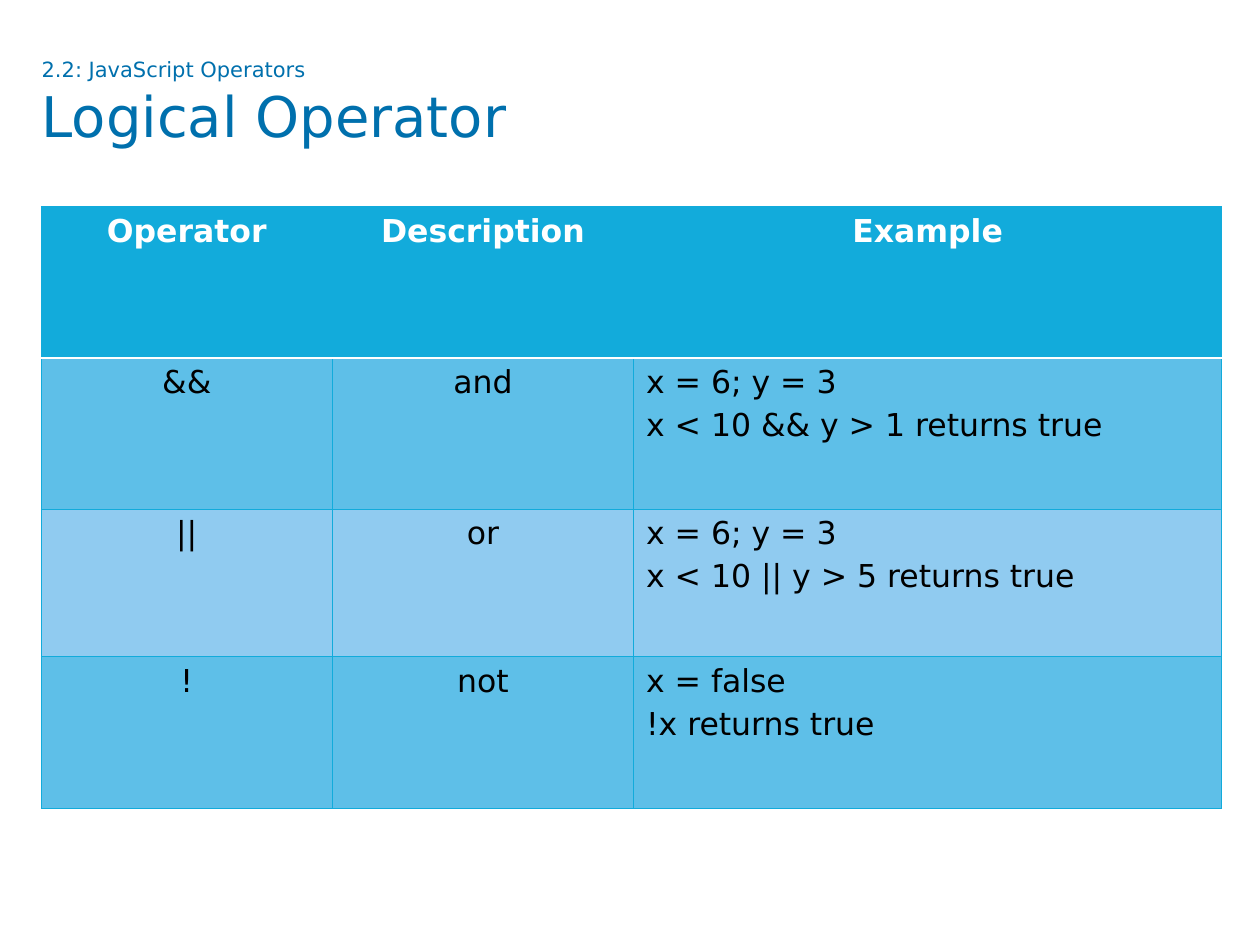
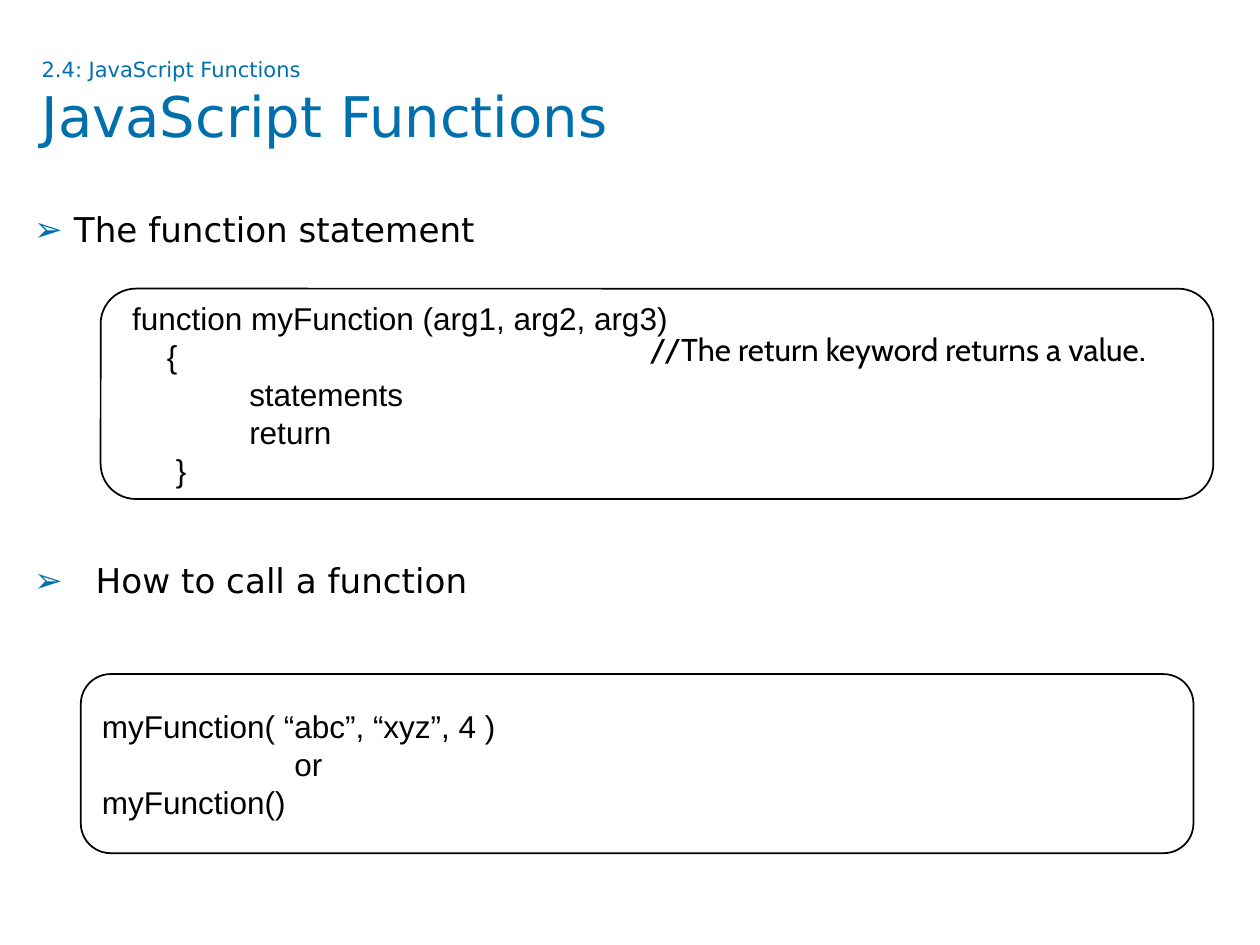
"""Build two slides on JavaScript operators and functions."""
from dataclasses import dataclass

from lxml import etree
from pptx import Presentation
from pptx import util as u
from pptx.dml import color as c
from pptx.enum import shapes as s, text as t
from pptx.oxml import ns
from pptx.slide import Slide
from pptx.table import _Cell
from pptx.text.text import TextFrame, _Paragraph


@dataclass(frozen=True)
class Theme:
    """Colours, fonts and type sizes shared by the slides."""
    blue: str = "0070AD"
    cyan: str = "12ABDB"
    dark_row: str = "5EBFE8"
    light_row: str = "90CBF0"
    black: str = "000000"
    white: str = "FFFFFF"
    main_font: str = "DejaVu Sans"
    code_font: str = "Arial"
    note_font: str = "Cabin"
    section_size: float = 12
    title_size: float = 32
    text_size: float = 18
    bullet_size: float = 19.5
    stop_size: float = 20


@dataclass(frozen=True)
class Box:
    """Position and size in centimetres."""
    left: float
    top: float
    width: float
    height: float

    def lengths(self) -> tuple[u.Length, ...]:
        """Return the four values as lengths."""
        return tuple(u.Cm(n) for n in (self.left, self.top, self.width, self.height))


@dataclass(frozen=True)
class Line:
    """One line of code or list text, indented in centimetres."""
    text: str
    indent: float = 0
    space_before: float = 0


@dataclass(frozen=True)
class CodeBox:
    """A rounded box holding lines of code."""
    box: Box
    lines: tuple[Line, ...]


THEME = Theme()
TITLE_BOX = Box(0.84, 1.14, 23.7, 2.39)
BODY_BOX = Box(0.69, 4.29, 23.72, 12.9)
TABLE_BOX = Box(0.83, 4.17, 23.8, 12.12)
NOTE_BOX = Box(12.83, 6.45, 10.54, 1.09)
COLUMN_WIDTHS = (5.87, 6.07, 11.86)
ROW_HEIGHTS = (3.05, 3.05, 2.97, 3.05)
OPERATOR_ROWS = (
    ("Operator", "Description", "Example"),
    ("&&", "and", "x = 6; y = 3\nx < 10 && y > 1 returns true"),
    ("||", "or", "x = 6; y = 3\nx < 10 || y > 5 returns true"),
    ("!", "not", "x = false\n!x returns true"),
)
BULLETS = (
    Line("The function statement", 0.8),
    Line("How to call a function", 1.24, 179.6),
)
CODE_BOXES = (
    CodeBox(Box(2.03, 5.82, 22.43, 4.24), (
        Line("function myFunction (arg1, arg2, arg3)", 0.18),
        Line("{", 0.88),
        Line("statements", 2.54),
        Line("return", 2.54),
        Line("}", 1.06),
    )),
    CodeBox(Box(1.63, 13.59, 22.43, 3.61), (
        Line("myFunction( “abc”, “xyz”, 4 )"),
        Line("or", 3.88),
        Line("myFunction()"),
    )),
)


def rgb(value: str) -> c.RGBColor:
    """Turn a hexadecimal string into a colour."""
    return c.RGBColor.from_string(value)


def write(paragraph: _Paragraph, text: str, *, size: float = THEME.text_size,
          font: str = THEME.main_font, color: str = THEME.black,
          bold: bool = False) -> None:
    """Add formatted text to a paragraph."""
    run = paragraph.add_run()
    run.text = text
    run.font.size = u.Pt(size)
    run.font.name = font
    run.font.bold = bold
    run.font.color.rgb = rgb(color)


def start_paragraph(frame: TextFrame, index: int, *, align: t.PP_ALIGN = t.PP_ALIGN.LEFT,
                    indent: float = 0, hanging: float = 0, space_before: float = 0,
                    line_spacing: float = 1.0) -> _Paragraph:
    """Return the first paragraph of a frame or add one, and format it."""
    paragraph = frame.add_paragraph() if index else frame.paragraphs[0]
    paragraph.alignment = align
    paragraph.space_before = u.Pt(space_before)
    paragraph.line_spacing = line_spacing
    properties = paragraph._p.get_or_add_pPr()
    properties.set("marL", str(u.Cm(indent)))
    properties.set("indent", str(-u.Cm(hanging)))
    return paragraph


def add_bullet(paragraph: _Paragraph, symbol: str, color: str) -> None:
    """Give a paragraph a coloured bullet."""
    properties = paragraph._p.get_or_add_pPr()
    bullet_color = etree.SubElement(properties, ns.qn("a:buClr"))
    etree.SubElement(bullet_color, ns.qn("a:srgbClr"), val=color)
    etree.SubElement(properties, ns.qn("a:buChar"), char=symbol)


def place(shape, box: Box) -> TextFrame:
    """Move a placeholder and return its frame without margins."""
    shape.left, shape.top, shape.width, shape.height = box.lengths()
    frame = shape.text_frame
    frame.margin_left = frame.margin_right = frame.margin_top = frame.margin_bottom = 0
    frame.auto_size = t.MSO_AUTO_SIZE.NONE
    frame.vertical_anchor = t.MSO_ANCHOR.TOP
    frame.word_wrap = True
    return frame


def add_titled_slide(presentation, layout: int, section: str, title: str) -> Slide:
    """Add a slide with a section line above its title."""
    slide = presentation.slides.add_slide(presentation.slide_layouts[layout])
    paragraph = start_paragraph(place(slide.shapes.title, TITLE_BOX), 0)
    write(paragraph, section, size=THEME.section_size, color=THEME.blue)
    paragraph.add_line_break()
    write(paragraph, title, size=THEME.title_size, color=THEME.blue)
    return slide


def set_borders(cell: _Cell, **sides: tuple[str, float]) -> None:
    """Draw cell borders given as colour and width, by side letter."""
    properties = cell._tc.get_or_add_tcPr()
    for position, side in enumerate("LRTB"):
        color, width = sides.get(side, (THEME.cyan, 0.5))
        border = etree.Element(ns.qn(f"a:ln{side}"), w=str(u.Pt(width)))
        fill = etree.SubElement(border, ns.qn("a:solidFill"))
        etree.SubElement(fill, ns.qn("a:srgbClr"), val=color)
        properties.insert(position, border)


def add_operator_table(slide: Slide) -> None:
    """Add the table of logical operators."""
    table = slide.shapes.add_table(
        len(ROW_HEIGHTS), len(COLUMN_WIDTHS), *TABLE_BOX.lengths()).table
    for column, width in zip(table.columns, COLUMN_WIDTHS):
        column.width = u.Cm(width)
    for row, height in zip(table.rows, ROW_HEIGHTS):
        row.height = u.Cm(height)
    header_rule = (THEME.white, 1)
    for row_index, values in enumerate(OPERATOR_ROWS):
        header = row_index == 0
        band = THEME.dark_row if row_index % 2 else THEME.light_row
        for column_index, value in enumerate(values):
            cell = table.cell(row_index, column_index)
            cell.fill.solid()
            cell.fill.fore_color.rgb = rgb(THEME.cyan if header else band)
            sides = {0: {"B": header_rule}, 1: {"T": header_rule}}.get(row_index, {})
            set_borders(cell, **sides)
            centred = header or column_index < 2
            for index, line in enumerate(value.split("\n")):
                paragraph = start_paragraph(
                    cell.text_frame, index, space_before=3.6 if index else 0,
                    align=t.PP_ALIGN.CENTER if centred else t.PP_ALIGN.LEFT)
                write(paragraph, line, bold=header,
                      color=THEME.white if header else THEME.black)


def add_code_box(slide: Slide, code: CodeBox) -> None:
    """Add a rounded box with code."""
    shape = slide.shapes.add_shape(s.MSO_SHAPE.ROUNDED_RECTANGLE, *code.box.lengths())
    shape.shadow.inherit = False
    shape.fill.solid()
    shape.fill.fore_color.rgb = rgb(THEME.white)
    shape.line.color.rgb = rgb(THEME.black)
    shape.line.width = u.Pt(1)
    shape.text_frame.vertical_anchor = t.MSO_ANCHOR.MIDDLE
    for index, line in enumerate(code.lines):
        paragraph = start_paragraph(shape.text_frame, index, indent=line.indent)
        write(paragraph, line.text, font=THEME.code_font)


def add_function_list(slide: Slide) -> None:
    """Fill the body placeholder with the bulleted list."""
    frame = place(slide.placeholders[1], BODY_BOX)
    for index, line in enumerate(BULLETS):
        paragraph = start_paragraph(
            frame, index, align=t.PP_ALIGN.JUSTIFY, indent=line.indent,
            hanging=line.indent, space_before=line.space_before, line_spacing=0.9)
        add_bullet(paragraph, "➢", THEME.blue)
        write(paragraph, line.text, size=THEME.bullet_size)


def add_return_note(slide: Slide) -> None:
    """Add the remark beside the return statement."""
    frame = slide.shapes.add_textbox(*NOTE_BOX.lengths()).text_frame
    frame.word_wrap = False
    paragraph = start_paragraph(frame, 0, align=t.PP_ALIGN.CENTER)
    write(paragraph, "//The return keyword returns a value", font=THEME.note_font)
    write(paragraph, ".", font=THEME.note_font, size=THEME.stop_size)


def main() -> None:
    """Build and save the presentation."""
    presentation = Presentation()
    presentation.slide_width, presentation.slide_height = u.Cm(25.4), u.Cm(19.05)

    operators = add_titled_slide(
        presentation, 5, "2.2: JavaScript Operators", "Logical Operator")
    add_operator_table(operators)

    functions = add_titled_slide(
        presentation, 1, "2.4: JavaScript Functions", "JavaScript Functions")
    add_function_list(functions)
    for code in CODE_BOXES:
        add_code_box(functions, code)
    add_return_note(functions)

    presentation.save("out.pptx")


if __name__ == "__main__":
    main()
